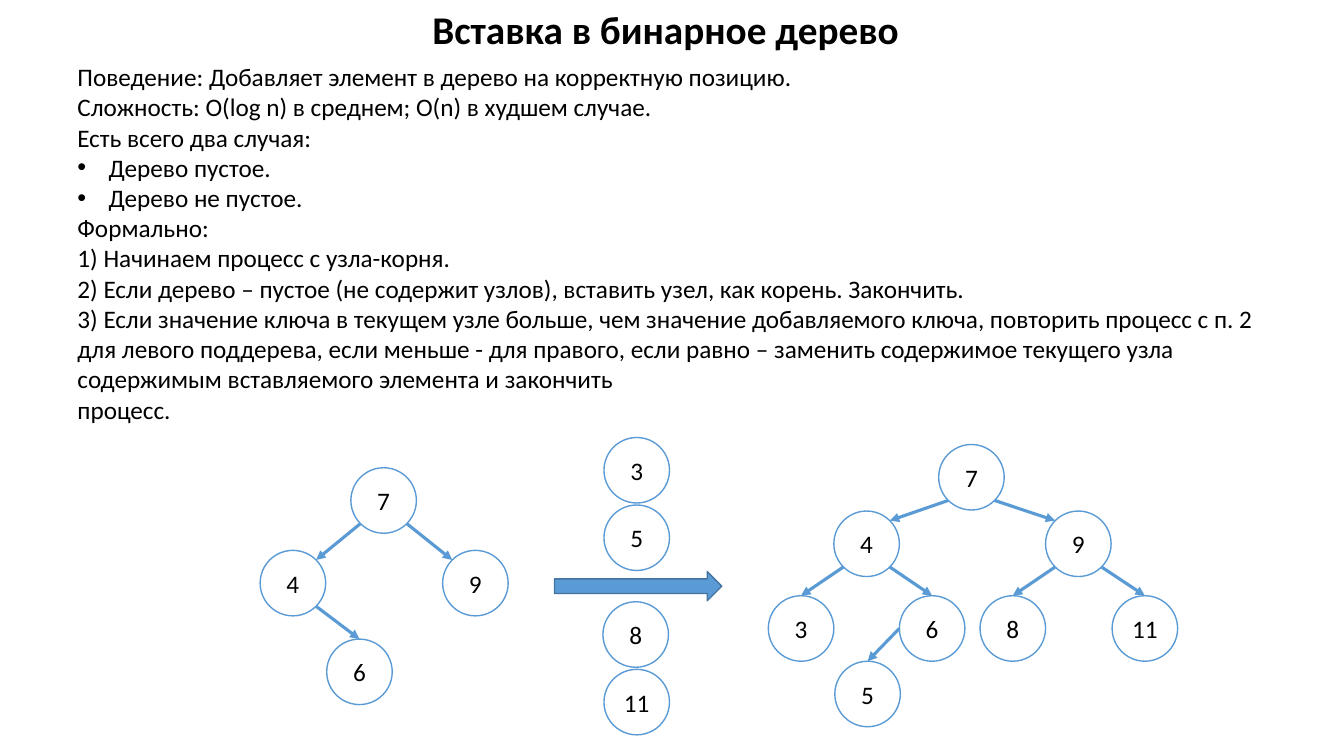
from dataclasses import dataclass
from math import sqrt
from pptx import Presentation, util as u
from pptx.dml.color import RGBColor
from pptx.enum import shapes, text
from pptx.oxml import ns, xmlchemy as xml


@dataclass(frozen=True)
class Theme:
    font: str = "Calibri"
    ink: str = "000000"
    paper: str = "FFFFFF"
    blue: str = "5B9BD5"
    dark: str = "43739E"
    title: float = 28
    body: float = 18
    thin: float = 1
    thick: float = 2.25
    node: float = 0.65


DIAG = 1 / sqrt(2)
SITES = {"top": (0, -1), "left": (-1, 0), "NW": (-DIAG, -DIAG),
         "NE": (DIAG, -DIAG), "SW": (-DIAG, DIAG), "SE": (DIAG, DIAG)}


class Board:
    def __init__(self, slide, theme):
        self.slide, self.theme = slide, theme
        self.art = slide.shapes

    def group(self):
        self.art = self.slide.shapes.add_group_shape().shapes

    def style(self, para, size, bold=False):
        for run in para.runs:
            run.font.name = self.theme.font
            run.font.size = u.Pt(size)
            run.font.bold = bold
            run.font.color.rgb = RGBColor.from_string(self.theme.ink)

    def label(self, box, lines, size, bold=False, wrap=True):
        shape = self.art.add_textbox(*map(u.Inches, box))
        frame = shape.text_frame
        frame.word_wrap = wrap
        frame.auto_size = text.MSO_AUTO_SIZE.SHAPE_TO_FIT_TEXT
        frame.text = "\n".join(lines)
        for para in frame.paragraphs:
            self.style(para, size, bold)
        return frame

    def bullet(self, para):
        props = para._p.get_or_add_pPr()
        props.set("marL", str(u.Inches(0.31)))
        props.set("indent", str(-u.Inches(0.31)))
        font = xml.OxmlElement("a:buFont")
        font.set("typeface", "Arial")
        mark = xml.OxmlElement("a:buChar")
        mark.set("char", "•")
        props.extend([font, mark])

    def shape(self, kind, box, fill, line):
        shape = self.art.add_shape(kind, *map(u.Inches, box))
        shape.shadow.inherit = False
        shape.fill.solid()
        shape.fill.fore_color.rgb = RGBColor.from_string(fill)
        shape.line.color.rgb = RGBColor.from_string(line)
        shape.line.width = u.Pt(self.theme.thin)
        return shape

    def node(self, key, left, top):
        side = self.theme.node
        shape = self.shape(shapes.MSO_SHAPE.OVAL, (left, top, side, side),
                           self.theme.paper, self.theme.blue)
        frame = shape.text_frame
        frame.margin_left = frame.margin_right = 0
        frame.margin_top = frame.margin_bottom = 0
        frame.word_wrap = False
        frame.vertical_anchor = text.MSO_ANCHOR.MIDDLE
        frame.text = str(key)
        para = frame.paragraphs[0]
        para.alignment = text.PP_ALIGN.CENTER
        self.style(para, self.theme.body)

    def edge(self, start, end):
        line = self.art.add_connector(shapes.MSO_CONNECTOR.STRAIGHT,
                                      *map(u.Inches, start + end))
        line.line.color.rgb = RGBColor.from_string(self.theme.blue)
        line.line.width = u.Pt(self.theme.thick)
        props = line._element.spPr
        head = xml.OxmlElement("a:tailEnd")
        head.set("type", "triangle")
        props.find(ns.qn("a:ln")).append(head)
        props.append(xml.OxmlElement("a:effectLst"))

    def tree(self, nodes, edges):
        self.group()
        for key, spot in nodes.items():
            self.node(key, *spot)
        half = self.theme.node / 2

        def site(key, name):
            return tuple(c + half * (1 + d)
                         for c, d in zip(nodes[key], SITES[name]))

        for above, out, below, into in edges:
            self.edge(site(above, out), site(below, into))


theme = Theme()
deck = Presentation()
deck.slide_width, deck.slide_height = u.Inches(13.33), u.Inches(7.5)
board = Board(deck.slides.add_slide(deck.slide_layouts[6]), theme)

# Explanation and title
lines = [
    "Поведение: Добавляет элемент в дерево на корректную позицию.",
    "Сложность: O(log n) в среднем; O(n) в худшем случае.",
    "Есть всего два случая:",
    "Дерево пустое.",
    "Дерево не пустое.",
    "Формально:",
    "1) Начинаем процесс с узла-корня.",
    "2) Если дерево – пустое (не содержит узлов), вставить узел, "
    "как корень. Закончить.",
    "3) Если значение ключа в текущем узле больше, чем значение "
    "добавляемого ключа, повторить процесс с п. 2 для левого поддерева, "
    "если меньше - для правого, если равно – заменить содержимое текущего "
    "узла содержимым вставляемого элемента и закончить",
    "процесс.",
]
body = board.label((0.67, 0.56, 11.93, 3.74), lines, theme.body)
for case in body.paragraphs[3:5]:
    board.bullet(case)
board.label((4.19, 0, 4.95, 0.57), ["Вставка в бинарное дерево"],
            theme.title, bold=True, wrap=False)

# Tree before insertion
board.tree({7: (3.48, 4.64), 9: (4.39, 5.46), 4: (2.58, 5.46),
            6: (3.24, 6.34)},
           [(7, "SW", 4, "NE"), (7, "SE", 9, "NW"), (4, "SE", 6, "top")])

# Inserted keys around the arrow
board.group()
board.shape(shapes.MSO_SHAPE.RIGHT_ARROW, (5.5, 5.67, 1.66, 0.29),
            theme.blue, theme.dark)
for key, left, top in [(5, 5.99, 5.01), (8, 5.98, 5.97),
                       (3, 5.99, 4.34), (11, 5.99, 6.64)]:
    board.node(key, left, top)

# Tree after insertion
board.tree({7: (9.31, 4.41), 9: (10.37, 5.07), 4: (8.27, 5.07),
            6: (8.92, 5.91), 5: (8.28, 6.56), 8: (9.72, 5.91),
            3: (7.62, 5.91), 11: (11.03, 5.91)},
           [(7, "SW", 4, "NE"), (7, "SE", 9, "NW"), (4, "SE", 6, "top"),
            (9, "SW", 8, "top"), (6, "left", 5, "top"),
            (4, "SW", 3, "top"), (9, "SE", 11, "top")])

deck.save("out.pptx")
